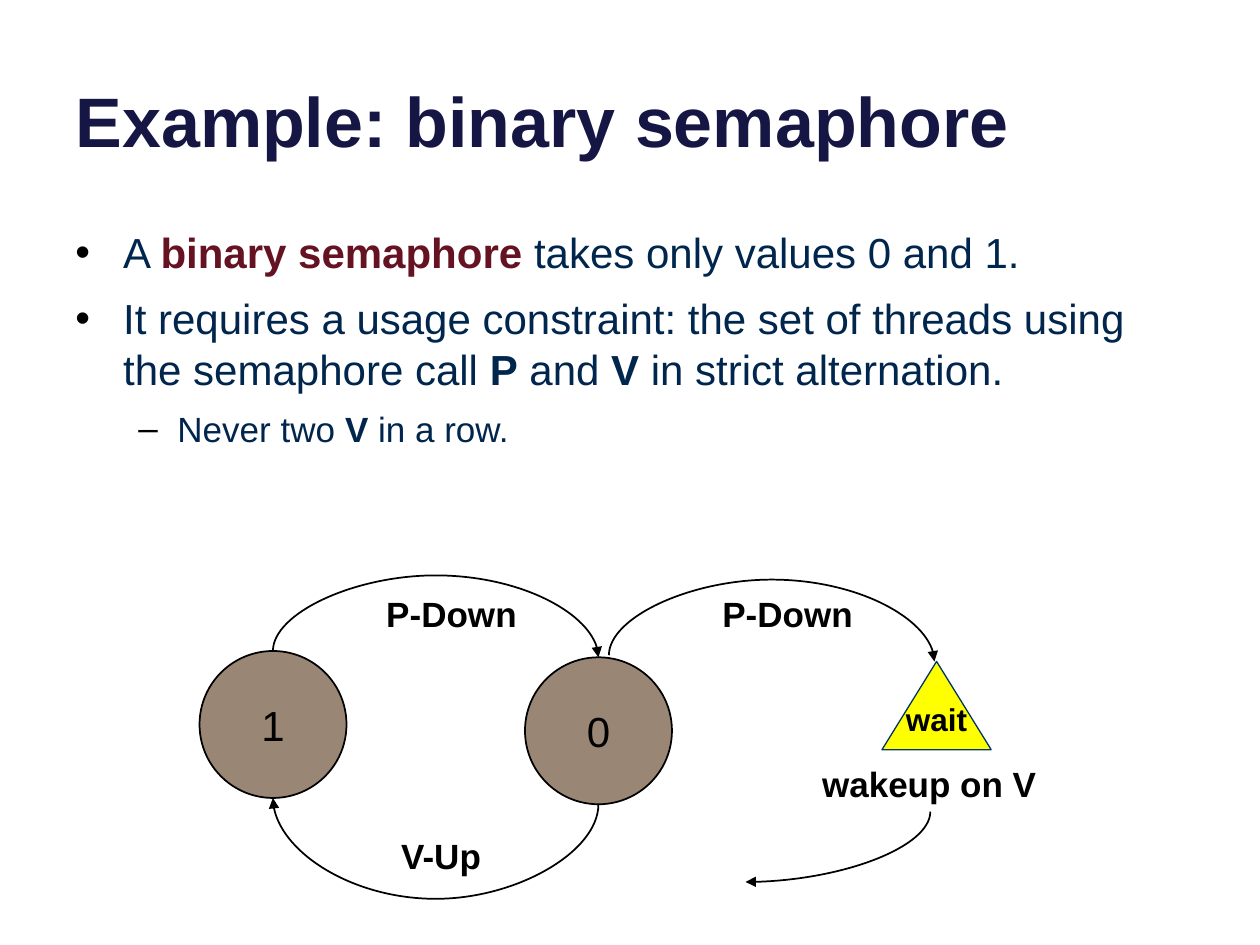
from lxml.etree import SubElement
from pptx import Presentation
from pptx.dml.color import RGBColor
from pptx.enum.shapes import MSO_CONNECTOR, MSO_SHAPE
from pptx.enum.text import MSO_ANCHOR as ANCHOR, PP_ALIGN as ALIGN
from pptx.oxml.ns import qn
from pptx.util import Inches, Pt

COLS, ROWS = 120, 90
WIDTH, HEIGHT = Inches(10), Inches(7.5)
BLACK, NAVY, TITLE, MAROON = "000000", "00264D", "161645", "651222"
BROWN, YELLOW, BLUE = "998674", "FFFF00", "003367"


def rgb(value):
    return RGBColor.from_string(value)


def grid(x, y, w, h):
    return [round(x * WIDTH / COLS), round(y * HEIGHT / ROWS),
            round(w * WIDTH / COLS), round(h * HEIGHT / ROWS)]


def add_run(p, text, size=24, color=BLACK, bold=False):
    r = p.add_run()
    r.text = text
    r.font.name = "Arial"
    r.font.size = Pt(size)
    r.font.bold = bold
    r.font.color.rgb = rgb(color)


def write(sp, text, anchor=ANCHOR.MIDDLE, align=ALIGN.CENTER, wrap=True, **fmt):
    tf = sp.text_frame
    tf.word_wrap = wrap
    tf.vertical_anchor = anchor
    p = tf.paragraphs[0]
    p.alignment = align
    add_run(p, text, **fmt)


def add_label(shapes, text, *box, **fmt):
    write(shapes.add_textbox(*grid(*box)), text, bold=True, **fmt)


def add_figure(shapes, kind, box, fill, line, weight):
    sp = shapes.add_shape(kind, *grid(*box))
    sp.shadow.inherit = False
    sp.fill.solid()
    sp.fill.fore_color.rgb = rgb(fill)
    sp.line.color.rgb = rgb(line)
    sp.line.width = Pt(weight)
    return sp


def add_state(shapes, text, x, y):
    sp = add_figure(shapes, MSO_SHAPE.OVAL, (x, y, 14, 14), BROWN, BLACK, 1)
    write(sp, text, wrap=False)


def add_arc(shapes, start, end, turn, bulge=None):
    (x1, y1), (x2, y2) = start, end
    w, h = abs(y2 - y1), abs(x2 - x1)
    x, y, w_emu, h_emu = grid((x1 + x2 - w) / 2, (y1 + y2 - h) / 2, w, h)
    left, right = x, x + w_emu
    if bulge:
        left, right = right, left
    c = shapes.add_connector(MSO_CONNECTOR.CURVE, left, y, right, y + h_emu)
    c.line.color.rgb = rgb(BLACK)
    c.line.width = Pt(1)
    pr = c._element.spPr
    pr.find(qn("a:xfrm")).set("rot", str(turn * 60000))
    geom = pr.find(qn("a:prstGeom"))
    if bulge:
        guides = geom.find(qn("a:avLst"))
        if guides is None:
            guides = SubElement(geom, qn("a:avLst"))
        SubElement(guides, qn("a:gd"), name="adj1",
                   fmla=f"val {round(-bulge / w * 100000)}")
    else:
        geom.set("prst", "curvedConnector2")
    SubElement(pr.find(qn("a:ln")), qn("a:tailEnd"), type="triangle")
    SubElement(pr, qn("a:effectLst"))


def add_bullet(p, runs, char, margin, hang, size, gap):
    pr = p._p.get_or_add_pPr()
    pr.set("marL", str(Inches(margin)))
    pr.set("indent", str(-Inches(hang)))
    SubElement(SubElement(pr, qn("a:buClr")), qn("a:srgbClr"), val=BLACK)
    SubElement(pr, qn("a:buFont"), typeface="Arial")
    SubElement(pr, qn("a:buChar"), char=char)
    p.space_before = Pt(gap)
    for text, *style in runs:
        add_run(p, text, size, *(style or [NAVY]))


def add_body(shapes):
    tf = shapes.add_textbox(*grid(6, 21, 108, 29)).text_frame
    tf.word_wrap = True
    main = dict(char="•", margin=0.38, hang=0.38, size=24)
    sub = dict(char="–", margin=0.81, hang=0.31, size=20)
    add_bullet(tf.paragraphs[0], [
        ("A ",), ("binary semaphore ", MAROON, True),
        ("takes only values 0 and 1.",)], gap=0, **main)
    add_bullet(tf.add_paragraph(), [
        ("It requires a usage constraint: the set of threads using the semaphore call ",),
        ("P", NAVY, True), (" and ",), ("V", NAVY, True),
        (" in strict alternation.",)], gap=9, **main)
    p = tf.add_paragraph()
    p.level = 1
    add_bullet(p, [("Never two ",), ("V ", NAVY, True), ("in a row.",)], gap=8, **sub)


def add_wait(shapes):
    group = shapes.add_group_shape().shapes
    add_figure(group, MSO_SHAPE.FLOWCHART_EXTRACT, (84, 63, 10.4, 8.4), YELLOW, BLUE, 0.75)
    add_label(group, "wait", 85.1, 66.1, 8.3, 4.8, size=18, wrap=False,
              anchor=ANCHOR.TOP, align=ALIGN.LEFT)


def main():
    prs = Presentation()
    prs.slide_width, prs.slide_height = WIDTH, HEIGHT
    s = prs.slides.add_slide(prs.slide_layouts[5])
    shapes = s.shapes
    title = shapes.title
    title.left, title.top, title.width, title.height = grid(6, -4.4, 108, 20.4)
    write(title, "Example: binary semaphore", anchor=ANCHOR.BOTTOM,
          align=ALIGN.LEFT, size=40, color=TITLE, bold=True)
    add_body(shapes)
    add_state(shapes, "1", 19, 62)
    add_state(shapes, "0", 50, 62.6)
    add_wait(shapes)
    add_arc(shapes, (26, 62), (57, 62.6), 270, 7.2)
    add_arc(shapes, (57, 76.6), (26, 76), 90, 9)
    add_arc(shapes, (58, 62.4), (89, 63), 270, 7.2)
    add_arc(shapes, (88.6, 77.3), (71, 84), 90)
    for text, x, y, w in [("P-Down", 32, 55.8, 22), ("P-Down", 64, 55.8, 22),
                          ("V-Up", 31, 78.8, 22), ("wakeup on V", 76, 72, 25)]:
        add_label(shapes, text, x, y, w, 5.3, size=20)
    prs.save("out.pptx")


if __name__ == "__main__":
    main()
